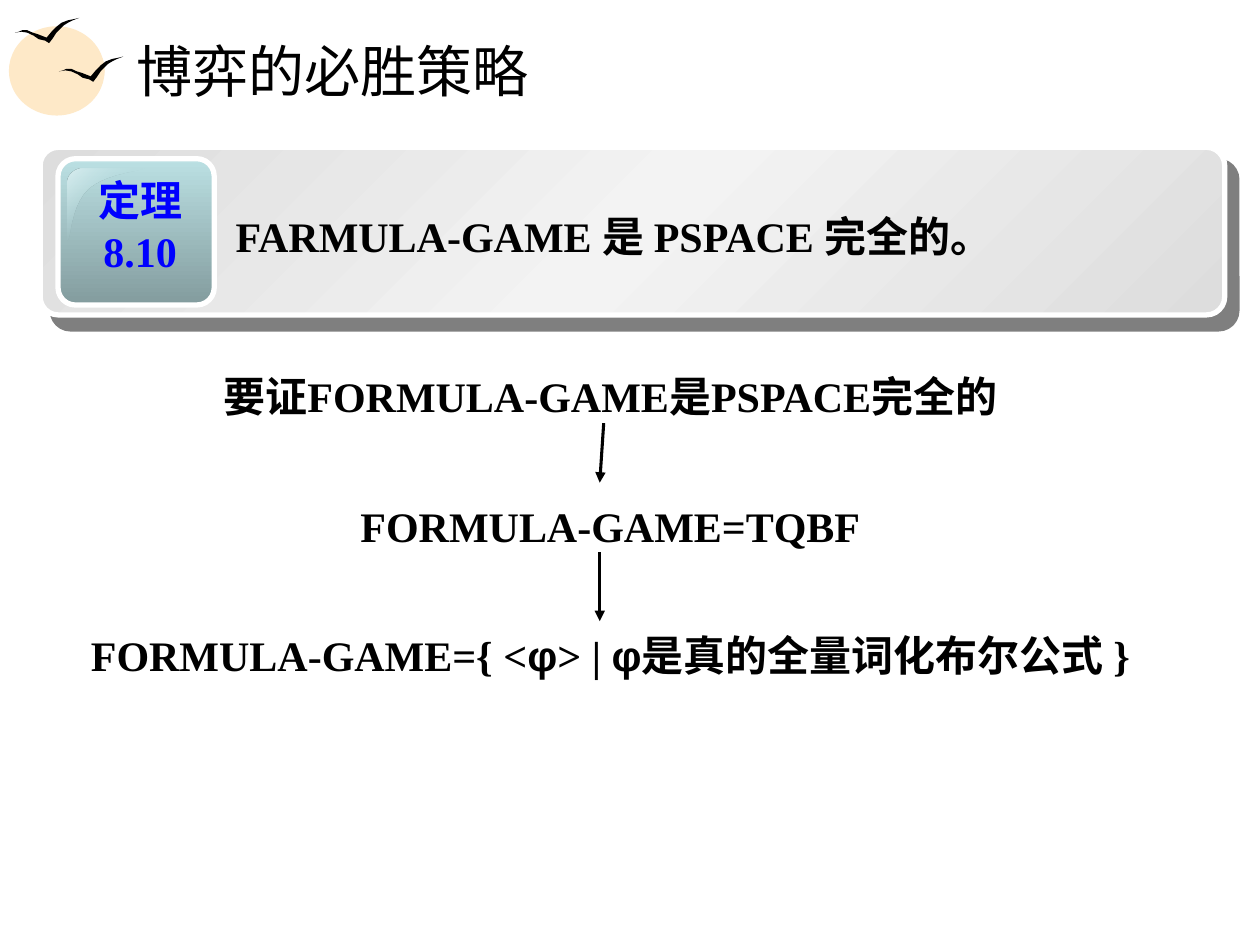
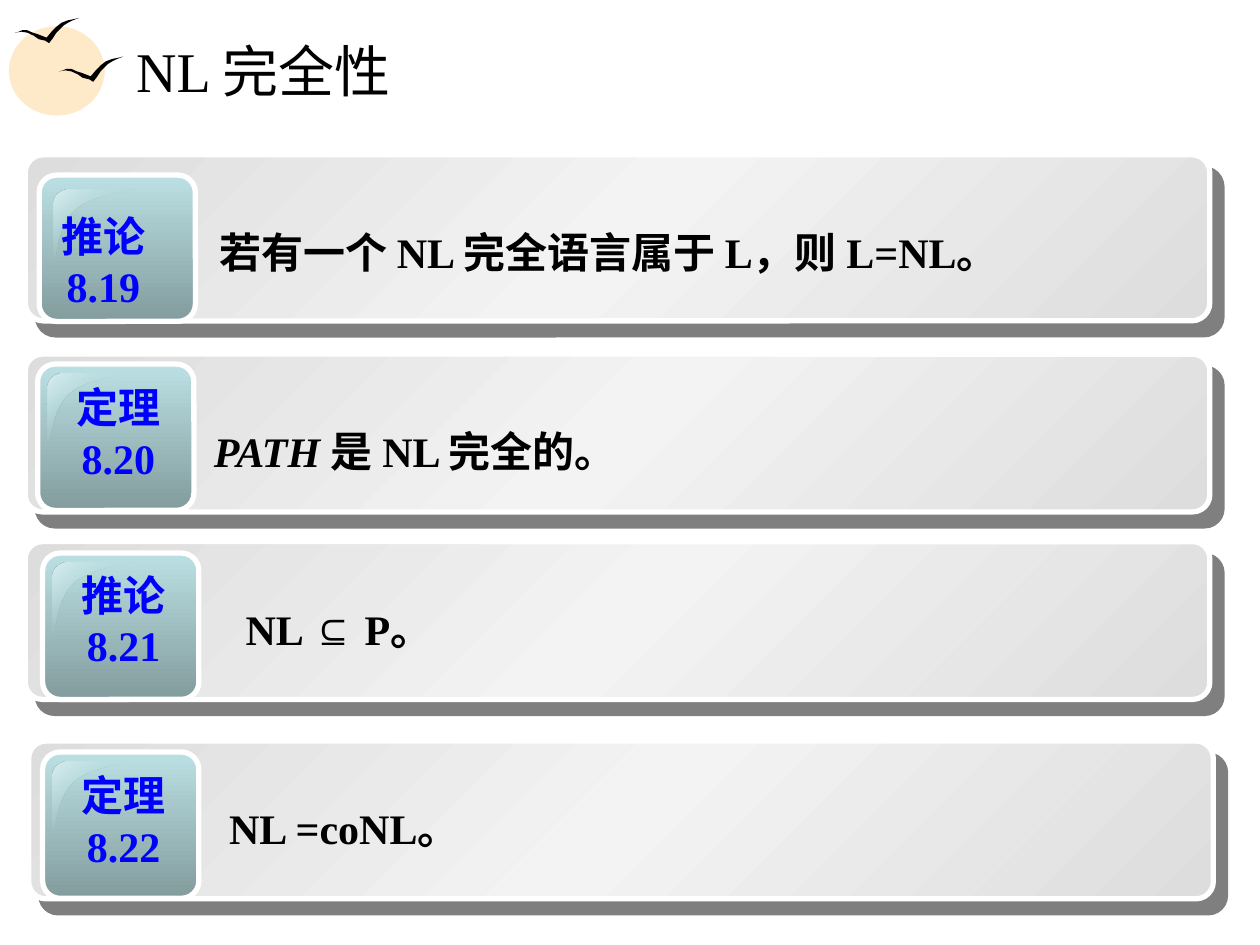
"""Builds two slides on complexity theorems: formula games and NL completeness."""
from lxml import etree
from pptx import Presentation
from pptx.dml.color import RGBColor
from pptx.enum.shapes import MSO_CONNECTOR, MSO_SHAPE
from pptx.enum.text import MSO_ANCHOR, PP_ALIGN
from pptx.oxml.ns import nsdecls, qn
from pptx.util import Cm, Pt

ELLIPSE, ROUNDED = MSO_SHAPE.OVAL, MSO_SHAPE.ROUNDED_RECTANGLE
STRAIGHT = MSO_CONNECTOR.STRAIGHT
LEFT, CENTER = PP_ALIGN.LEFT, PP_ALIGN.CENTER
MIDDLE = MSO_ANCHOR.MIDDLE

SERIF, SANS = "Times New Roman", "Arial"
COLORS = {
    "ink": "000000",
    "white": "FFFFFF",
    "label": "0000FF",
    "sun": "FEE9C8",
    "card_edge": "DDDDDD",
    "card_mid": "F3F3F3",
    "badge_top": "BBE0E3",
    "badge_bottom": "839C9E",
    "gloss": "DAEEF0",
}
CARD_STOPS = [(0, "card_edge", 100), (50, "card_mid", 100), (100, "card_edge", 100)]
BADGE_STOPS = [(0, "badge_top", 100), (100, "badge_bottom", 100)]
GLOSS_STOPS = [(0, "gloss", 100), (50, "badge_top", 0), (100, "gloss", 100)]

BIRD = [
    (0, 0.3), (0.08, 0.28), (0.15, 0.25), (0.25, 0.25), (0.36, 0.3),
    (0.46, 0.33), (0.64, 0.4), (0.74, 0.28), (0.84, 0.18), (0.94, 0.1),
    (1.07, 0.05), (1.22, 0.02), (1.3, 0), (1.17, 0.05), (1.07, 0.1),
    (0.99, 0.15), (0.91, 0.23), (0.84, 0.3), (0.76, 0.42), (0.69, 0.51),
    (0.61, 0.46), (0.48, 0.43), (0.38, 0.36), (0.25, 0.3), (0.13, 0.28),
]
GLOSS_CURVES = [
    [(0.3, 0), (0.15, 0), (0, 0.13), (0, 0.28)],
    [(0, 1.45), (0.08, 1.47), (0.05, 0.76), (0.43, 0.41)],
    [(0.43, 0.41), (0.81, 0.08), (1.57, 0.05), (1.55, 0)],
]


def rgb(name):
    """Return a palette colour."""
    return RGBColor.from_string(COLORS[name])


def add_run(p, text, font=SERIF, size=24, color="ink", bold=True, italic=False):
    """Append a formatted run to a paragraph."""
    r = p.add_run()
    r.text = text
    r.font.name = font
    r.font.size = Pt(size)
    r.font.color.rgb = rgb(color)
    r.font.bold = bold
    r.font.italic = italic


def add_text(s, at, paragraphs, align=LEFT, spacing=None, before=0, gap=0, **fmt):
    """Add a wrapping text box; each paragraph is a list of (text, format) runs."""
    tf = s.shapes.add_textbox(*map(Cm, at)).text_frame
    tf.word_wrap = True
    for i, runs in enumerate(paragraphs):
        p = tf.add_paragraph() if i else tf.paragraphs[0]
        p.alignment = align
        p.line_spacing = spacing
        p.space_before = Pt(gap if i else before)
        for text, own in runs:
            add_run(p, text, **{**fmt, **own})


def fill_gradient(sp, stops, angle):
    """Give a shape a linear gradient from (position, colour, opacity) stops."""
    gs = "".join(
        f'<a:gs pos="{pos * 1000}"><a:srgbClr val="{COLORS[name]}">'
        f'<a:alpha val="{alpha * 1000}"/></a:srgbClr></a:gs>'
        for pos, name, alpha in stops
    )
    grad = etree.fromstring(
        f'<a:gradFill {nsdecls("a")} rotWithShape="1"><a:gsLst>{gs}</a:gsLst>'
        f'<a:lin ang="{angle * 60000}" scaled="0"/></a:gradFill>'
    )
    sp.fill.background()
    spPr = sp._element.spPr
    spPr.replace(spPr.find(qn("a:noFill")), grad)


def add_hard_shadow(sp):
    """Give a shape a half-transparent shadow to the lower right."""
    shadow = etree.fromstring(
        f'<a:outerShdw {nsdecls("a")} dist="{Pt(10.6)}" dir="{49 * 60000}" algn="ctr" '
        f'rotWithShape="0"><a:srgbClr val="{COLORS["ink"]}"><a:alpha val="50000"/>'
        "</a:srgbClr></a:outerShdw>"
    )
    sp._element.spPr.find(qn("a:effectLst")).append(shadow)


def add_plain(s, kind, at, color="white"):
    """Add a preset shape with a solid fill, no line and no shadow."""
    sp = s.shapes.add_shape(kind, *map(Cm, at))
    sp.shadow.inherit = False
    sp.fill.solid()
    sp.fill.fore_color.rgb = rgb(color)
    sp.line.fill.background()
    return sp


def add_panel(s, at, radius, stops, angle):
    """Add a white-edged rounded rectangle with a gradient."""
    sp = add_plain(s, ROUNDED, at)
    sp.adjustments[0] = radius
    fill_gradient(sp, stops, angle)
    sp.line.color.rgb = rgb("white")
    sp.line.width = Pt(3)
    return sp


def add_outline(s, x, y, points):
    """Add a closed black freeform at an offset."""
    places = [(Cm(x + dx), Cm(y + dy)) for dx, dy in points]
    builder = s.shapes.build_freeform(*places[0])
    builder.add_line_segments(places[1:], close=True)
    sp = builder.convert_to_shape()
    sp.shadow.inherit = False
    sp.fill.solid()
    sp.fill.fore_color.rgb = rgb("ink")
    sp.line.fill.background()
    return sp


def sample_curve(controls, steps=10):
    """Return points along a cubic Bezier curve."""
    points = []
    for i in range(steps + 1):
        t = i / steps
        weights = ((1 - t) ** 3, 3 * t * (1 - t) ** 2, 3 * t * t * (1 - t), t ** 3)
        points.append(tuple(sum(w * c[k] for w, c in zip(weights, controls)) for k in (0, 1)))
    return points


def add_arrow(s, x1, y1, x2, y2):
    """Add a black arrow."""
    c = s.shapes.add_connector(STRAIGHT, *map(Cm, (x1, y1, x2, y2)))
    c.line.color.rgb = rgb("ink")
    c.line.width = Pt(1.75)
    spPr = c._element.spPr
    etree.SubElement(spPr.find(qn("a:ln")), qn("a:tailEnd"), type="triangle")
    etree.SubElement(spPr, qn("a:effectLst"))


def add_theorem(s, label, runs, card, badge, label_at, text_at, gloss=0.2):
    """Add a theorem card: panel, glossy badge, label and statement."""
    left, top, height = card
    add_hard_shadow(add_panel(s, (left, top, 23.88, height), 0.109, CARD_STOPS, 45))
    add_panel(s, (*badge, 3.15, 2.95), 0.119, BADGE_STOPS, 90)
    shine = [point for curve in GLOSS_CURVES for point in sample_curve(curve)]
    sp = add_outline(s, badge[0] + gloss, badge[1] + gloss, shine)
    fill_gradient(sp, GLOSS_STOPS, 45)
    add_text(s, (*label_at, 2.39, 2.29), [[(label, {})]], align=CENTER, color="label")
    add_text(s, (*text_at, 18.8, 1.42), [runs], spacing=1.15, before=4.5)


def add_slide(prs, title):
    """Add a slide with the sun, the birds and a title."""
    s = prs.slides.add_slide(prs.slide_layouts[5])
    add_plain(s, ELLIPSE, (0.18, 0.53, 1.93, 1.8), "sun")
    add_plain(s, ELLIPSE, (0.51, 0.71, 1.6, 1.4), "sun")
    for x, y in ((1.19, 1.14), (0.3, 0.36)):
        add_outline(s, x, y, BIRD)
    sp = s.shapes.title
    sp.left, sp.top, sp.width, sp.height = map(Cm, (2.49, 0.53, 21.67, 1.75))
    tf = sp.text_frame
    tf.vertical_anchor = MIDDLE
    p = tf.paragraphs[0]
    p.alignment = LEFT
    add_run(p, title, size=32, bold=False)
    return s


def build_game_slide(prs):
    """Build the formula game slide."""
    s = add_slide(prs, "博弈的必胜策略")
    add_theorem(s, "定理8.10", [("FARMULA-GAME 是 PSPACE 完全的。", {})],
                (0.81, 2.97, 3.38), (1.17, 3.2), (1.63, 3.4), (4.5, 3.96))
    phi = ("φ", {"font": SANS})
    steps = [
        [("要证FORMULA-GAME是PSPACE完全的", {})],
        [("FORMULA-GAME=TQBF", {})],
        [("FORMULA-GAME={ <", {}), phi, ("> | ", {}), phi,
         ("是真的全量词化布尔公式 }", {})],
    ]
    add_text(s, (1.09, 7.19, 22.43, 6.73), steps, align=CENTER,
             spacing=1.15, before=4.5, gap=41)
    add_arrow(s, 12.17, 8.53, 12.09, 9.73)
    add_arrow(s, 12.09, 11.13, 12.09, 12.52)


def build_nl_slide(prs):
    """Build the NL completeness slide."""
    s = add_slide(prs, "NL 完全性")
    add_theorem(s, "推论8.19", [("若有一个 NL 完全语言属于 L，则 L=NL。", {})],
                (0.51, 3.12, 3.35), (0.79, 3.53), (0.89, 4.11), (4.17, 4.29), gloss=0.3)
    add_theorem(s, "定理8.20", [("PATH ", {"italic": True}), ("是 NL 完全的。", {})],
                (0.51, 7.14, 3.18), (0.76, 7.34), (1.19, 7.57), (4.06, 8.31))
    add_theorem(s, "推论8.21", [("NL ", {}), ("⊆", {"font": SANS}), (" P。", {})],
                (0.51, 10.92, 3.18), (0.86, 11.15), (1.3, 11.35), (4.7, 11.89))
    add_theorem(s, "定理8.22", [("NL =coNL。", {})],
                (0.58, 14.94, 3.18), (0.86, 15.16), (1.3, 15.39), (4.37, 15.9))


def main():
    """Build and save the presentation."""
    prs = Presentation()
    prs.slide_width, prs.slide_height = Cm(25.4), Cm(19.05)
    build_game_slide(prs)
    build_nl_slide(prs)
    prs.save("out.pptx")


if __name__ == "__main__":
    main()
